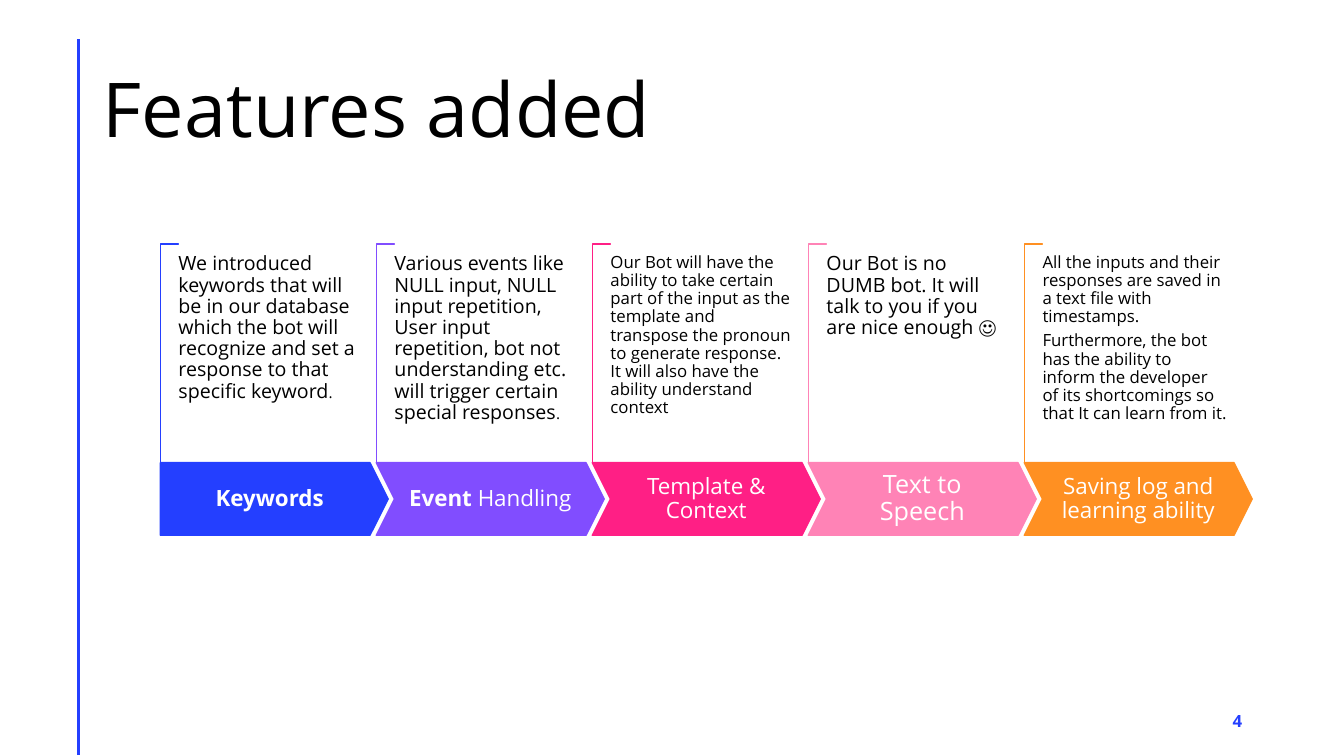
from lxml import etree
from pptx import Presentation
from pptx import util as u
from pptx.dml.color import RGBColor
from pptx.enum import shapes, text
from pptx.oxml import ns

FONT = "Open Sans"
COLORS = {
    "black": "000000",
    "white": "FFFFFF",
    "blue": "243FFF",
    "violet": "814DFF",
    "magenta": "FF1F85",
    "pink": "FF83B6",
    "orange": "FF9022",
}
LEFT, PITCH = 1.59, 2.1425
ARROW_W, ARROW_H, ARROW_TOP = 2.26, 0.72, 4.59
INDENT = 0.18
BRACKET_H = 2.17
NOTE_TOP, NOTE_W, NOTE_H = 2.52, 1.83, 1.55

FEATURES = [
    ("blue", [("Keywords", True)], 16, 14, [
        "We introduced keywords that will be in our database which the bot "
        "will recognize and set a response to that specific keyword"], "."),
    ("violet", [("Event", True), (" Handling", False)], 16, 14, [
        "Various events like NULL input, NULL input repetition, User input "
        "repetition, bot not understanding etc. will trigger certain special "
        "responses"], "."),
    ("magenta", [("Template & Context", False)], 16, 12, [
        "Our Bot will have the ability to take certain part of the input as "
        "the template and transpose the pronoun to generate response. It will "
        "also have the ability understand context"], ""),
    ("pink", [("Text to Speech", False)], 18, 14, [
        "Our Bot is no DUMB bot. It will talk to you if you are nice enough ☺"], ""),
    ("orange", [("Saving log and learning ability", False)], 16, 12, [
        "All the inputs and their responses are saved in a text file with "
        "timestamps.",
        "Furthermore, the bot has the ability to inform the developer of its "
        "shortcomings so that It can learn from it."], ""),
]


def rgb(name):
    return RGBColor.from_string(COLORS[name])


def inches(*values):
    return [u.Inches(v) for v in values]


def style_run(r, size, color, bold=False):
    r.font.name = FONT
    r.font.size = u.Pt(size)
    r.font.bold = bold
    r.font.color.rgb = rgb(color)


def add_run(p, words, size, color, bold=False):
    r = p.add_run()
    r.text = words
    style_run(r, size, color, bold)


def add_box(slide, box, inset_x=0, inset_y=0, anchor=text.MSO_ANCHOR.TOP):
    tf = slide.shapes.add_textbox(*inches(*box)).text_frame
    tf.word_wrap = True
    tf.vertical_anchor = anchor
    tf.margin_left = tf.margin_right = u.Inches(inset_x)
    tf.margin_top = tf.margin_bottom = u.Inches(inset_y)
    return tf


def add_preset(slide, kind, box, fill, line):
    sp = slide.shapes.add_shape(kind, *inches(*box))
    sp.shadow.inherit = False
    sp.fill.solid()
    sp.fill.fore_color.rgb = rgb(fill)
    sp.line.color.rgb = rgb(line)
    sp.line.width = u.Pt(1)
    return sp


def make_corner(sp, thickness):
    geometry = sp._element.spPr.find(ns.qn("a:prstGeom"))
    geometry.set("prst", "corner")
    guides = geometry.find(ns.qn("a:avLst"))
    for name in ("adj1", "adj2"):
        etree.SubElement(guides, ns.qn("a:gd"), name=name,
                         fmla=f"val {round(thickness * 100000)}")


def add_bracket(slide, x, color):
    left = x + (INDENT - BRACKET_H) / 2
    top = ARROW_TOP - (BRACKET_H + INDENT) / 2
    sp = add_preset(slide, shapes.MSO_SHAPE.RECTANGLE,
                    (left, top, BRACKET_H, INDENT), "white", color)
    make_corner(sp, 0.01)
    sp.rotation = 90


def add_arrow(slide, x, color, first):
    kind = shapes.MSO_SHAPE.PENTAGON if first else shapes.MSO_SHAPE.CHEVRON
    sp = add_preset(slide, kind, (x, ARROW_TOP, ARROW_W, ARROW_H), color, color)
    sp.adjustments[0] = 0.25


def add_label(slide, x, runs, size, first):
    indent = 0 if first else INDENT
    width = ARROW_W - (INDENT / 2 if first else 2 * INDENT)
    tf = add_box(slide, (x + indent, ARROW_TOP, width, ARROW_H),
                 0.11, 0.22, text.MSO_ANCHOR.MIDDLE)
    p = tf.paragraphs[0]
    p.alignment = text.PP_ALIGN.CENTER
    p.line_spacing = 0.9
    for words, bold in runs:
        add_run(p, words, size, "white", bold)


def add_note(slide, x, paragraphs, size, stop):
    tf = add_box(slide, (x + INDENT, NOTE_TOP, NOTE_W, NOTE_H))
    for i, words in enumerate(paragraphs):
        p = tf.add_paragraph() if i else tf.paragraphs[0]
        p.line_spacing = 0.9
        if i:
            p.space_before = u.Pt(4.2)
        add_run(p, words, size, "black")
    if stop:
        add_run(p, stop, 11, "black")


def add_feature(slide, index, feature):
    color, label, label_size, note_size, paragraphs, stop = feature
    x = LEFT + index * PITCH
    first = index == 0
    add_bracket(slide, x, color)
    add_arrow(slide, x, color, first)
    add_label(slide, x, label, label_size, first)
    add_note(slide, x, paragraphs, note_size, stop)


def add_rule(slide):
    line = slide.shapes.add_connector(
        shapes.MSO_CONNECTOR.STRAIGHT, *inches(0.78, 0.39, 0.78, 7.49))
    line.line.color.rgb = rgb("blue")
    line.line.width = u.Pt(2)
    etree.SubElement(line._element.spPr, ns.qn("a:effectLst"))


def set_title(slide, words):
    sp = slide.shapes.title
    sp.left, sp.top, sp.width, sp.height = inches(0.92, 0.4, 11.5, 1.45)
    tf = sp.text_frame
    tf.text = words
    tf.word_wrap = True
    tf.auto_size = text.MSO_AUTO_SIZE.NONE
    tf.vertical_anchor = text.MSO_ANCHOR.MIDDLE
    p = tf.paragraphs[0]
    p.alignment = text.PP_ALIGN.LEFT
    p.line_spacing = 0.9
    style_run(p.runs[0], 54, "black")


def add_page_number(slide, number):
    tf = add_box(slide, (9.42, 6.95, 3, 0.4), 0.1, 0.05, text.MSO_ANCHOR.MIDDLE)
    p = tf.paragraphs[0]
    p.alignment = text.PP_ALIGN.RIGHT
    add_run(p, number, 12, "blue", True)


def main():
    prs = Presentation()
    prs.slide_width, prs.slide_height = inches(13.33, 7.5)
    slide = prs.slides.add_slide(prs.slide_layouts[5])
    add_rule(slide)
    set_title(slide, "Features added")
    add_page_number(slide, "4")
    for index, feature in enumerate(FEATURES):
        add_feature(slide, index, feature)
    prs.save("out.pptx")


if __name__ == "__main__":
    main()
